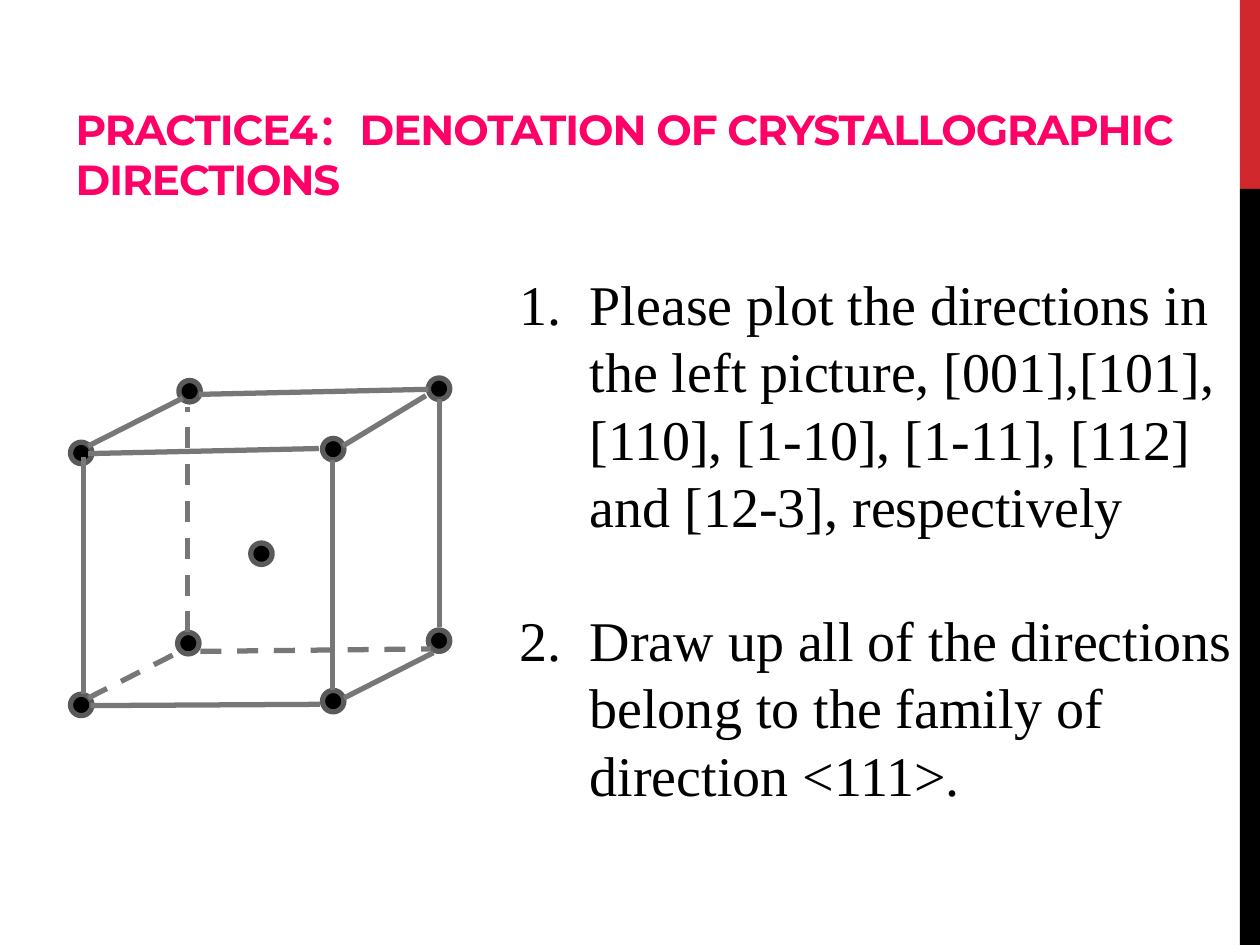
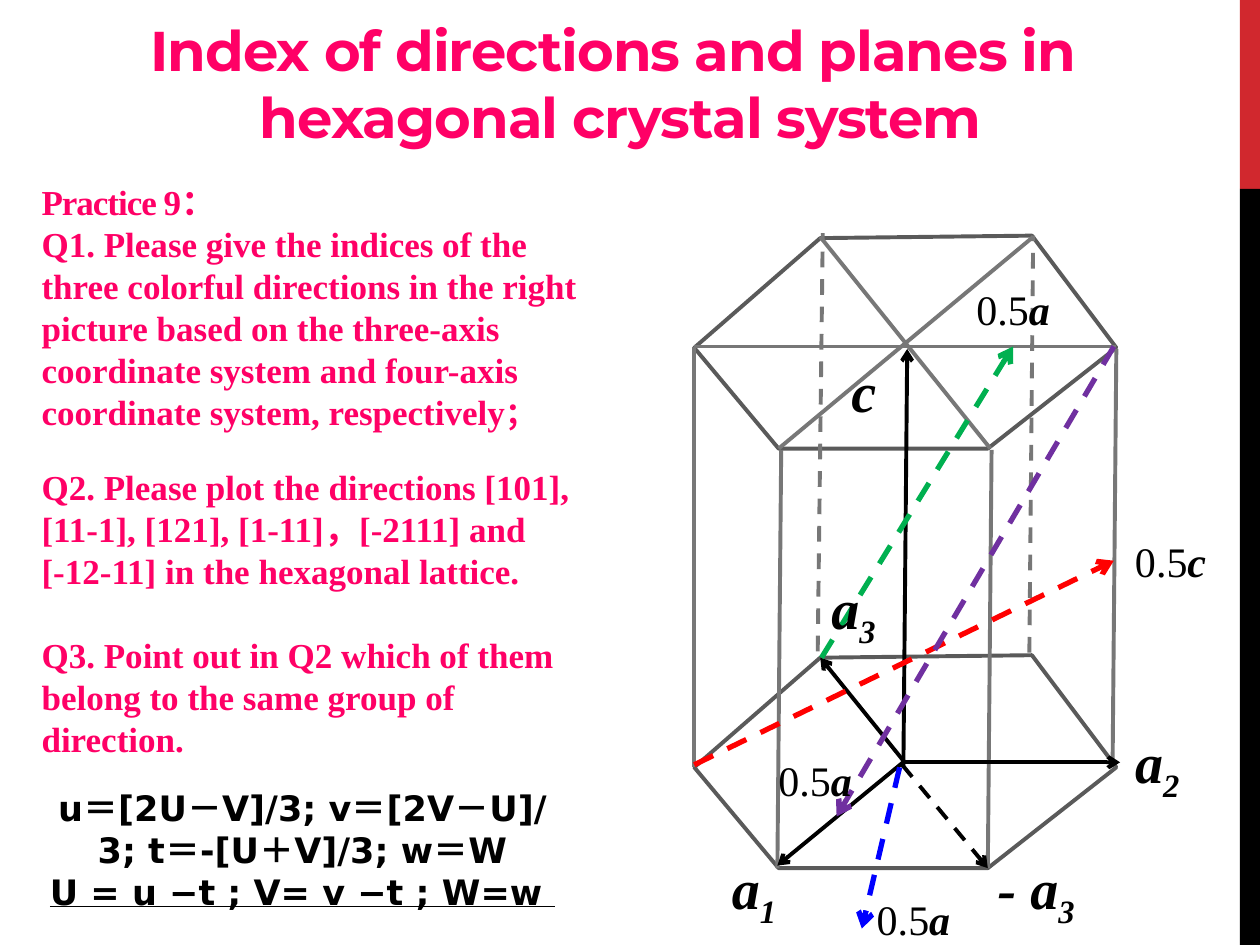
from dataclasses import dataclass
from typing import NamedTuple

from lxml.etree import SubElement
from pptx import Presentation
from pptx.dml.color import RGBColor
from pptx.enum.dml import MSO_LINE
from pptx.enum.shapes import MSO_CONNECTOR, MSO_SHAPE
from pptx.enum.text import MSO_ANCHOR, MSO_AUTO_SIZE, PP_ALIGN
from pptx.oxml.ns import qn
from pptx.util import Emu, Pt


@dataclass(frozen=True)
class Theme:
    """Colours, fonts and type sizes shared by the slides."""

    pink: str = "FF0066"
    red_band: str = "D1282E"
    black: str = "000000"
    outline: str = "5A5A5A"
    edge: str = "777777"
    blue: str = "0000FF"
    red: str = "FF0000"
    green: str = "00B050"
    purple: str = "7030A0"
    heading: str = "Montserrat"
    serif: str = "Times New Roman"
    sans: str = "DejaVu Sans"
    cjk: str = "Noto Sans CJK SC"
    large: int = 32
    medium: int = 24
    text: int = 20
    small: int = 18
    leading: float = 1.2
    tight: int = -60
    thick: float = 3
    thin: float = 2.25


T = Theme()
EMU_PER_PX = 9144


class Box(NamedTuple):
    """Left, top, width and height in px."""

    x: int
    y: int
    w: int
    h: int


class Line(NamedTuple):
    """A straight line with its look."""

    x1: int
    y1: int
    x2: int
    y2: int
    color: str = T.edge
    width: float = T.thin
    dash: bool = False
    arrow: bool = False


class Label(NamedTuple):
    """A short formula label: upright, italic and subscript parts."""

    box: Box
    size: int
    plain: str
    italic: str
    sub: str = ""


ATOM = 17
ATOMS = [(199, 431), (56, 351), (142, 302), (340, 300), (256, 348),
         (56, 551), (141, 502), (340, 500), (256, 548)]
CUBE_EDGES = [
    Line(66, 363, 66, 551), Line(264, 365, 264, 548), Line(72, 560, 254, 559),
    Line(70, 354, 145, 316), Line(273, 554, 344, 518), Line(70, 360, 253, 356),
    Line(338, 314, 272, 354), Line(349, 498, 349, 317), Line(158, 313, 340, 309),
    Line(70, 554, 141, 518, dash=True), Line(149, 502, 149, 323, dash=True),
    Line(159, 517, 342, 515, dash=True),
]
TASKS = [
    "Please plot the directions in the left picture, [001],[101], [110], [1-10], "
    "[1-11], [112] and [12-3], respectively",
    "Draw up all of the directions belong to the family of direction <111>.",
]

HEX_BASE = [(651, 522), (819, 520), (886, 609), (784, 689), (618, 689), (551, 609)]
HEX_HEIGHT = 333
PRISM_LINES = [
    Line(551, 609, 551, 275), Line(617, 689, 620, 357), Line(784, 689, 787, 357),
    Line(883, 609, 886, 277), Line(651, 188, 786, 356), Line(618, 356, 820, 188),
    Line(551, 275, 886, 275),
    Line(649, 517, 653, 185, dash=True), Line(817, 518, 820, 187, dash=True),
]
AXES = [
    Line(718, 604, 617, 687, T.black, arrow=True),
    Line(718, 605, 889, 605, T.black, arrow=True),
    Line(717, 609, 720, 277, T.black, arrow=True),
    Line(718, 605, 651, 522, T.black, arrow=True),
    Line(716, 607, 784, 689, T.black, dash=True, arrow=True),
]
DIRECTIONS = [
    Line(714, 609, 684, 737, T.blue, T.thick, True, True),
    Line(551, 607, 884, 445, T.red, T.thick, True, True),
    Line(652, 522, 804, 275, T.green, T.thick, True, True),
    Line(884, 275, 664, 648, T.purple, T.thick, True, True),
]
LABELS = [
    Label(Box(571, 680, 58, 64), T.large, "", "a", "1"),
    Label(Box(891, 580, 58, 64), T.large, "", "a", "2"),
    Label(Box(666, 278, 40, 64), T.large, "", "c"),
    Label(Box(650, 458, 58, 64), T.large, "", "a", "3"),
    Label(Box(782, 680, 84, 64), T.large, "", "- a", "3"),
    Label(Box(891, 420, 77, 50), T.medium, "0.5", "c"),
    Label(Box(765, 220, 79, 50), T.medium, "0.5", "a"),
    Label(Box(686, 704, 79, 50), T.medium, "0.5", "a"),
    Label(Box(608, 594, 79, 50), T.medium, "0.5", "a"),
]
QUESTIONS = [
    ("Practice 9：", 0),
    ("Q1. Please give the indices of the three colorful directions in the right picture "
     "based on the three-axis coordinate system and four-axis coordinate system, "
     "respectively", 0),
    ("Q2. Please plot the directions [101], [11-1], [121], [1-11]，[-2111] and [-12-11] "
     "in the hexagonal lattice.", 19.2),
    ("Q3. Point out in Q2 which of them belong to the same group of direction.", 24),
]
FORMULAS = ["u＝[2U－V]/3; v＝[2V－U]/\v3; t＝-[U＋V]/3; w＝W",
            "U = u −t ; V= v −t ; W=w "]


def px(n: int) -> Emu:
    """Turn px into EMU."""
    return Emu(n * EMU_PER_PX)


def rgb(color: str) -> RGBColor:
    """Turn a hex string into a colour."""
    return RGBColor.from_string(color)


def style(r, size: int, font: str, color: str = T.black, bold: bool = False,
          italic: bool = False, underline: bool = False, **attrs: int) -> None:
    """Format one run; attrs are raw run attributes."""
    f = r.font
    f.size, f.name, f.bold, f.italic = Pt(size), font, bold, italic
    f.color.rgb = rgb(color)
    if underline:
        f.underline = True
    rPr = r._r.get_or_add_rPr()
    SubElement(rPr, qn("a:ea")).set("typeface", T.cjk)
    for name, value in attrs.items():
        rPr.set(name, str(value))


def space(p, size: int, before: float = 0) -> None:
    """Set the leading and the gap above a paragraph."""
    p.line_spacing = Pt(round(size * T.leading, 1))
    p.space_before = Pt(before)


def place(sp, box: Box) -> None:
    """Move a shape to its box."""
    sp.left, sp.top, sp.width, sp.height = map(px, box)


def bullet(p, indent: int = 0) -> None:
    """Number a paragraph with a hanging indent, or clear its bullet."""
    pPr = p._p.get_or_add_pPr()
    pPr.set("marL", str(px(indent)))
    pPr.set("indent", str(px(-indent)))
    if indent:
        SubElement(pPr, qn("a:buFont")).set("typeface", "+mj-lt")
        SubElement(pPr, qn("a:buAutoNum")).set("type", "arabicPeriod")
    else:
        SubElement(pPr, qn("a:buNone"))


def add_title(s, text: str, box: Box, size: int, align: PP_ALIGN) -> None:
    """Fill the title placeholder."""
    sp = s.shapes.title
    place(sp, box)
    tf = sp.text_frame
    tf.auto_size = MSO_AUTO_SIZE.NONE
    tf.vertical_anchor = MSO_ANCHOR.BOTTOM
    p = tf.paragraphs[0]
    p.text = text
    p.alignment = align
    for r in p.runs:
        style(r, size, T.heading, T.pink, bold=True, spc=T.tight)


def add_body(s, texts: list[str], box: Box):
    """Fill the body placeholder, one paragraph for each text."""
    sp = s.placeholders[1]
    place(sp, box)
    tf = sp.text_frame
    tf.auto_size = MSO_AUTO_SIZE.NONE
    tf.vertical_anchor = MSO_ANCHOR.TOP
    tf.text = "\n".join(texts)
    return tf


def add_preset(s, kind: MSO_SHAPE, box: Box, fill: str, line: str = ""):
    """Draw a filled preset shape."""
    sp = s.shapes.add_shape(kind, *map(px, box))
    sp.shadow.inherit = False
    sp.fill.solid()
    sp.fill.fore_color.rgb = rgb(fill)
    if line:
        sp.line.color.rgb = rgb(line)
        sp.line.width = Pt(T.thick)
    else:
        sp.line.fill.background()
    return sp


def add_line(s, line: Line) -> None:
    """Draw one line or arrow."""
    c = s.shapes.add_connector(MSO_CONNECTOR.STRAIGHT, *map(px, line[:4]))
    c.line.color.rgb = rgb(line.color)
    c.line.width = Pt(line.width)
    if line.dash:
        c.line.dash_style = MSO_LINE.DASH
    spPr = c.element.spPr
    if line.arrow:
        SubElement(spPr.find(qn("a:ln")), qn("a:tailEnd")).set("type", "arrow")
    SubElement(spPr, qn("a:effectLst"))


def add_hexagon(s, lift: int) -> None:
    """Outline the prism base, lifted by some px."""
    points = [(px(x), px(y - lift)) for x, y in HEX_BASE]
    fb = s.shapes.build_freeform(*points[0], scale=1.0)
    fb.add_line_segments(points[1:], close=True)
    sp = fb.convert_to_shape()
    sp.shadow.inherit = False
    sp.fill.background()
    sp.line.color.rgb = rgb(T.outline)
    sp.line.width = Pt(T.thin)


def add_label(s, label: Label) -> None:
    """Write one axis or length label."""
    tf = s.shapes.add_textbox(*map(px, label.box)).text_frame
    tf.word_wrap = False
    tf.auto_size = MSO_AUTO_SIZE.SHAPE_TO_FIT_TEXT
    p = tf.paragraphs[0]
    space(p, label.size)
    for text, slanted, attrs in ((label.plain, False, {}), (label.italic, True, {}),
                                 (label.sub, True, {"baseline": -25000})):
        if text:
            r = p.add_run()
            r.text = text
            style(r, label.size, T.serif, bold=slanted, italic=slanted, **attrs)


def add_bands(prs, s) -> None:
    """Put the side bands on the slide master."""
    for y, h, color in ((0, 150, T.red_band), (150, 600, T.black)):
        sp = add_preset(s, MSO_SHAPE.RECTANGLE, Box(984, y, 16, h), color)
        prs.slide_master.shapes.element.append(sp.element)


def build_cubic(s) -> None:
    """Build the cubic practice slide."""
    add_title(s, "PRACTICE4：DENOTATION OF CRYSTALLOGRAPHIC DIRECTIONS",
              Box(50, 17, 895, 150), T.medium, PP_ALIGN.LEFT)
    for x, y in ATOMS:
        add_preset(s, MSO_SHAPE.OVAL, Box(x, y, ATOM, ATOM), T.black, T.outline)
    for edge in CUBE_EDGES:
        add_line(s, edge._replace(width=T.thick))
    tf = add_body(s, TASKS, Box(402, 209, 587, 495))
    for i, p in enumerate(tf.paragraphs):
        bullet(p, 56)
        space(p, T.large, i * T.large * T.leading)
        style(p.runs[0], T.large, T.serif)


def build_hexagonal(s) -> None:
    """Build the hexagonal practice slide."""
    add_title(s, "Index of directions and planes in \vhexagonal crystal system",
              Box(12, 0, 961, 124), T.large, PP_ALIGN.CENTER)
    tf = add_body(s, [text for text, _ in QUESTIONS], Box(23, 138, 453, 522))
    for i, (p, (_, before)) in enumerate(zip(tf.paragraphs, QUESTIONS)):
        bullet(p)
        space(p, T.text, before)
        style(p.runs[0], T.text, T.serif, T.pink, bold=True, spc=0 if i else T.tight)
    r = tf.paragraphs[1].add_run()
    r.text = "；"
    style(r, T.small, T.serif, T.pink, bold=True)

    for lift in (0, HEX_HEIGHT):
        add_hexagon(s, lift)
    for line in PRISM_LINES + AXES + DIRECTIONS:
        add_line(s, line)
    for label in LABELS:
        add_label(s, label)

    tf = s.shapes.add_textbox(*map(px, Box(0, 619, 480, 110))).text_frame
    tf.word_wrap = True
    for i, text in enumerate(FORMULAS):
        p = tf.add_paragraph() if i else tf.paragraphs[0]
        p.text = text
        p.alignment = PP_ALIGN.CENTER
        space(p, T.text)
        for r in p.runs:
            style(r, T.text, T.sans, bold=True, underline=i == 1)


def main() -> None:
    """Build and save the slides."""
    prs = Presentation()
    prs.slide_width, prs.slide_height = px(1000), px(750)
    cubic, hexagonal = (prs.slides.add_slide(prs.slide_layouts[1]) for _ in range(2))
    add_bands(prs, cubic)
    build_cubic(cubic)
    build_hexagonal(hexagonal)
    prs.save("out.pptx")


if __name__ == "__main__":
    main()
